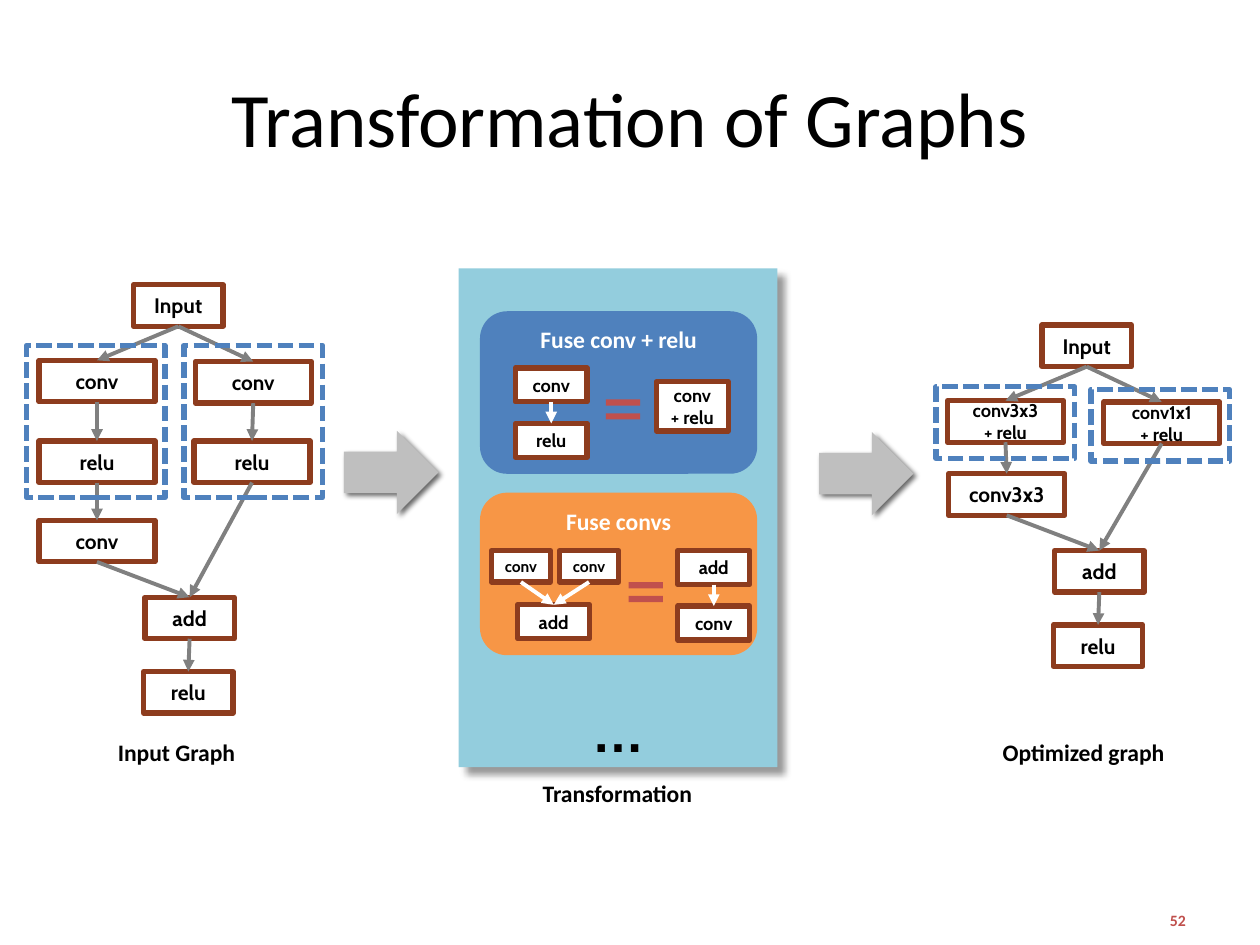
from dataclasses import dataclass

import lxml.etree
import pptx
import pptx.dml.color
import pptx.enum.dml
import pptx.enum.shapes
import pptx.enum.text
import pptx.oxml.ns
import pptx.util

RGB = pptx.dml.color.RGBColor
BLACK, WHITE = RGB(0, 0, 0), RGB(255, 255, 255)
BROWN, GRAY, SILVER = RGB(0x8D, 0x3C, 0x1E), RGB(0x80, 0x80, 0x80), RGB(0xBF, 0xBF, 0xBF)
BLUE, AQUA = RGB(0x4F, 0x81, 0xBD), RGB(0x93, 0xCD, 0xDD)
RED, ORANGE = RGB(0xC0, 0x50, 0x4D), RGB(0xF7, 0x96, 0x46)

FORM = pptx.enum.shapes.MSO_SHAPE
ALIGN = pptx.enum.text.PP_ALIGN
ANCHOR = pptx.enum.text.MSO_ANCHOR
qn = pptx.oxml.ns.qn

# The slide is a grid of square cells, 1000 columns by 750 rows
COLS, ROWS = 1000, 750
CELL = pptx.util.Inches(10) // COLS

# Node sizes in cells: width, height
WIDE, MID, SMALL, TINY, TALL = (92, 33), (71, 33), (57, 27), (47, 25), (57, 39)


@dataclass
class Node:
    key: str
    text: str
    left: int
    top: int
    size: tuple[int, int]
    points: float = 12


@dataclass
class Graph:
    nodes: list[Node]
    edges: list[str]  # "from to", by node key
    color: RGB = GRAY


@dataclass
class Rule:
    title: str
    top: int
    fill: RGB
    equal: tuple[int, int]
    graph: Graph


INPUT = Graph(
    [Node("in", "Input", 106, 226, MID),
     Node("c1", "conv", 31, 286, WIDE), Node("c2", "conv", 155, 287, WIDE),
     Node("r1", "relu", 31, 350, WIDE), Node("r2", "relu", 154, 350, WIDE),
     Node("c3", "conv", 31, 413, WIDE),
     Node("add", "add", 115, 474, MID), Node("out", "relu", 114, 533, MID)],
    ["in c1", "in c2", "c1 r1", "c2 r2", "r1 c3", "c3 add", "r2 add", "add out"])

BEST = Graph(
    [Node("in", "Input", 827, 258, MID),
     Node("f1", "conv3x3\n+ relu", 752, 318, WIDE, 10.5),
     Node("f2", "conv1x1\n+ relu", 876, 319, WIDE, 10.5),
     Node("c3", "conv3x3", 753, 376, WIDE),
     Node("add", "add", 837, 437, MID), Node("out", "relu", 836, 496, MID)],
    ["in f1", "in f2", "f1 c3", "f2 add", "c3 add", "add out"])

RULES = [
    Rule("Fuse conv + relu", 247, BLUE, (476, 310), Graph(
        [Node("c", "conv", 409, 292, SMALL, 10.5),
         Node("r", "relu", 409, 336, SMALL, 10.5),
         Node("both", "conv\n+ relu", 521, 303, TALL, 10.5)],
        ["c r"], WHITE)),
    Rule("Fuse convs", 391, ORANGE, (494, 455), Graph(
        [Node("c1", "conv", 390, 437, TINY, 9), Node("c2", "conv", 444, 437, TINY, 9),
         Node("sum", "add", 411, 480, SMALL, 10.5),
         Node("add", "add", 538, 437, SMALL, 10.5),
         Node("c", "conv", 538, 481, SMALL, 10.5)],
        ["c1 sum", "c2 sum", "add c"], WHITE)),
]


def put_text(shape, text: str, *, size: float, font: str = "Calibri", color: RGB = BLACK,
             bold: bool = True, align=ALIGN.CENTER, anchor=ANCHOR.TOP,
             wrap: bool = True, inset: float | None = None) -> None:
    frame = shape.text_frame
    frame.word_wrap, frame.vertical_anchor = wrap, anchor
    if inset is not None:
        frame.margin_left = frame.margin_right = pptx.util.Inches(inset)
        frame.margin_top = frame.margin_bottom = pptx.util.Inches(inset / 2)
    frame.text = text
    for para in frame.paragraphs:
        para.alignment = align
        para.font.size, para.font.name = pptx.util.Pt(size), font
        para.font.bold, para.font.color.rgb = bold, color


def add_label(slide, text: str, left: int, top: int, wide: int, high: int, **style) -> None:
    box = slide.shapes.add_textbox(left * CELL, top * CELL, wide * CELL, high * CELL)
    put_text(box, text, **style)


def add_form(slide, form, left: int, top: int, wide: int, high: int,
             fill: RGB | None = None, line: RGB | None = None):
    shape = slide.shapes.add_shape(form, left * CELL, top * CELL, wide * CELL, high * CELL)
    shape.shadow.inherit = False
    if fill is None:
        shape.fill.background()
    else:
        shape.fill.solid()
        shape.fill.fore_color.rgb = fill
    if line is None:
        shape.line.fill.background()
    else:
        shape.line.color.rgb = line
        shape.line.width = pptx.util.Pt(3)
    return shape


def add_shade(shape, alpha: int, blur: float, dist: float) -> None:
    effects = shape._element.spPr.find(qn("a:effectLst"))
    shade = lxml.etree.SubElement(
        effects, qn("a:outerShdw"), blurRad=str(pptx.util.Pt(blur)),
        dist=str(pptx.util.Pt(dist)), dir="2700000", algn="tl", rotWithShape="0")
    tint = lxml.etree.SubElement(shade, qn("a:srgbClr"), val=str(BLACK))
    lxml.etree.SubElement(tint, qn("a:alpha"), val=str(alpha * 1000))


def add_edge(slide, start, end, color: RGB) -> None:
    edge = slide.shapes.add_connector(pptx.enum.shapes.MSO_CONNECTOR.STRAIGHT, 0, 0, 0, 0)
    edge.begin_connect(start, 2)  # bottom side
    edge.end_connect(end, 0)  # top side
    edge.line.color.rgb = color
    edge.line.width = pptx.util.Pt(2.25)
    props = edge._element.spPr
    lxml.etree.SubElement(props.find(qn("a:ln")), qn("a:tailEnd"), type="triangle")
    lxml.etree.SubElement(props, qn("a:effectLst"))


def add_graph(slide, graph: Graph) -> None:
    boxes = {}
    for node in graph.nodes:
        box = add_form(slide, FORM.RECTANGLE, node.left, node.top, *node.size, WHITE, BROWN)
        put_text(box, node.text, size=node.points, font="Cabin",
                 anchor=ANCHOR.MIDDLE, wrap=False, inset=0)
        boxes[node.key] = box
    for edge in graph.edges:
        start, end = edge.split()
        add_edge(slide, boxes[start], boxes[end], graph.color)


def add_rule(slide, rule: Rule) -> None:
    card = add_form(slide, FORM.ROUNDED_RECTANGLE, 381, rule.top, 220, 129, rule.fill)
    put_text(card, rule.title, size=13.5, color=WHITE)
    add_graph(slide, rule.graph)
    sign = add_form(slide, FORM.MATH_EQUAL, *rule.equal, 37, 30, RED)
    sign.adjustments[0], sign.adjustments[1] = 0.163, 0.204


def main() -> None:
    deck = pptx.Presentation()
    deck.slide_width, deck.slide_height = COLS * CELL, ROWS * CELL
    slide = deck.slides.add_slide(deck.slide_layouts[6])
    add_label(slide, "Transformation of Graphs", 50, 30, 900, 125,
              size=44, bold=False, anchor=ANCHOR.MIDDLE)

    # Flow arrows and the middle panel
    for left, top in ((273, 342), (650, 343)):
        add_shade(add_form(slide, FORM.RIGHT_ARROW, left, top, 75, 66, SILVER), 60, 3, 2)
    add_shade(add_form(slide, FORM.RECTANGLE, 364, 213, 253, 396, AQUA), 40, 4, 6)

    # Graphs before and after, and the rules between them
    for graph in (INPUT, BEST):
        add_graph(slide, graph)
    for rule in RULES:
        add_rule(slide, rule)

    # Dashed frames round the fused nodes
    for left, top, high in ((21, 274, 121), (146, 274, 121), (743, 307, 57), (866, 309, 57)):
        frame = add_form(slide, FORM.RECTANGLE, left, top, 110, high, line=BLUE)
        frame.line.dash_style = pptx.enum.dml.MSO_LINE.SQUARE_DOT

    # Captions and page number
    add_label(slide, "…", 462, 552, 57, 58, size=30, font="Arial", wrap=False, inset=0.07)
    add_label(slide, "Input Graph", 29, 581, 222, 33, size=13.5)
    add_label(slide, "Transformation", 351, 613, 278, 33, size=13.5)
    add_label(slide, "Optimized graph", 738, 581, 244, 53, size=13.5)
    add_label(slide, "52", 911, 716, 40, 29, size=9, color=RED,
              align=ALIGN.RIGHT, anchor=ANCHOR.MIDDLE)
    deck.save("out.pptx")


if __name__ == "__main__":
    main()
